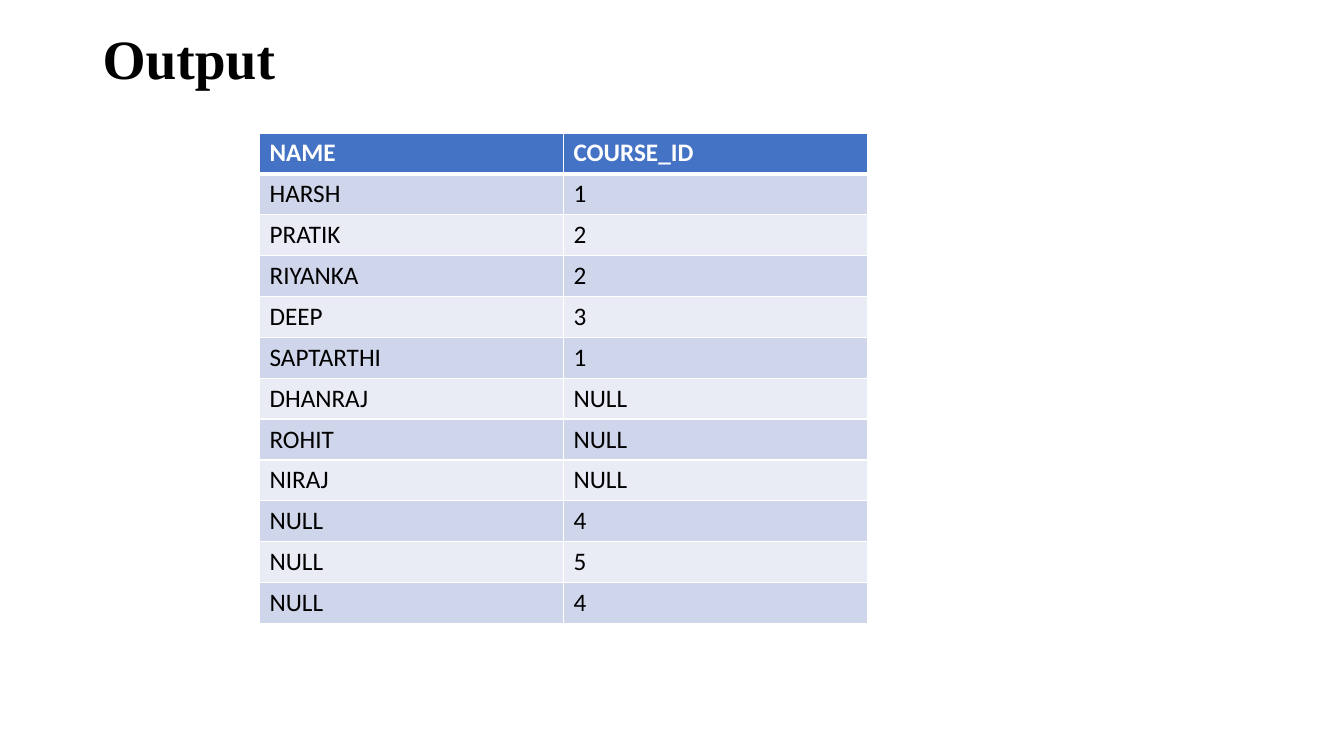
from dataclasses import dataclass

from lxml.etree import SubElement
from pptx import Presentation
from pptx.dml.color import RGBColor
from pptx.enum.text import MSO_ANCHOR, MSO_AUTO_SIZE, PP_ALIGN
from pptx.oxml.ns import qn
from pptx.util import Cm, Pt


@dataclass(frozen=True)
class Theme:
    title_font: str = "Times New Roman"
    body_font: str = "Calibri"
    title_size: float = 39.6
    body_size: float = 18
    text: str = "000000"
    header_text: str = "FFFFFF"
    header_fill: str = "4472C4"
    band_fills: tuple = ("CFD5EA", "E9EBF5")
    border: str = "FFFFFF"
    border_width: float = 1
    header_rule_width: float = 3


HEADER = ("NAME", "COURSE_ID")
STUDENT_COURSES = [
    ("HARSH", "1"),
    ("PRATIK", "2"),
    ("RIYANKA", "2"),
    ("DEEP", "3"),
    ("SAPTARTHI", "1"),
    ("DHANRAJ", "NULL"),
    ("ROHIT", "NULL"),
    ("NIRAJ", "NULL"),
    ("NULL", "4"),
    ("NULL", "5"),
    ("NULL", "4"),
]


def apply_format(target, values):
    for name, value in values.items():
        setattr(target, name, value)


class SlideBuilder:
    def __init__(self, presentation, theme):
        self.theme = theme
        # Title-only layout
        self.slide = presentation.slides.add_slide(presentation.slide_layouts[5])

    def style_font(self, font, name, size, color, bold):
        apply_format(font, {"name": name, "size": Pt(size), "bold": bold})
        font.color.rgb = RGBColor.from_string(color)

    def add_title(self, text, left, top, width, height):
        title = self.slide.shapes.title
        apply_format(title, {"left": Cm(left), "top": Cm(top),
                             "width": Cm(width), "height": Cm(height)})
        apply_format(title.text_frame, {"text": text, "word_wrap": True,
                                        "auto_size": MSO_AUTO_SIZE.NONE,
                                        "vertical_anchor": MSO_ANCHOR.MIDDLE})
        paragraph = title.text_frame.paragraphs[0]
        apply_format(paragraph, {"alignment": PP_ALIGN.LEFT, "line_spacing": 0.9})
        self.style_font(paragraph.runs[0].font, self.theme.title_font,
                        self.theme.title_size, self.theme.text, True)

    def add_borders(self, cell, top_width, bottom_width):
        side_width = self.theme.border_width
        widths = {"a:lnL": side_width, "a:lnR": side_width,
                  "a:lnT": top_width, "a:lnB": bottom_width}
        properties = cell._tc.get_or_add_tcPr()
        for tag, width in widths.items():
            line = SubElement(properties, qn(tag), w=str(Pt(width)))
            fill = SubElement(line, qn("a:solidFill"))
            SubElement(fill, qn("a:srgbClr"), val=self.theme.border)

    def fill_cell(self, cell, text, row_index):
        theme = self.theme
        is_header = row_index == 0
        # Borders come before the fill in the cell properties
        thin, thick = theme.border_width, theme.header_rule_width
        self.add_borders(cell, thick if row_index == 1 else thin,
                         thick if is_header else thin)
        cell.fill.solid()
        band = theme.band_fills[(row_index - 1) % len(theme.band_fills)]
        cell.fill.fore_color.rgb = RGBColor.from_string(
            theme.header_fill if is_header else band)
        cell.text = text
        self.style_font(cell.text_frame.paragraphs[0].runs[0].font,
                        theme.body_font, theme.body_size,
                        theme.header_text if is_header else theme.text, is_header)

    def add_table(self, rows, left, top, column_width, row_height):
        column_count = len(rows[0])
        table = self.slide.shapes.add_table(
            len(rows), column_count, Cm(left), Cm(top),
            Cm(column_width * column_count), Cm(row_height * len(rows))).table
        for column in table.columns:
            column.width = Cm(column_width)
        for row_index, values in enumerate(rows):
            table.rows[row_index].height = Cm(row_height)
            for column_index, text in enumerate(values):
                self.fill_cell(table.cell(row_index, column_index), text, row_index)


def main():
    presentation = Presentation()
    apply_format(presentation, {"slide_width": Cm(33.87), "slide_height": Cm(19.05)})
    builder = SlideBuilder(presentation, Theme())

    # Title
    builder.add_title("Output", left=2.33, top=1.01, width=29.21, height=1.1)

    # Query result
    builder.add_table([HEADER, *STUDENT_COURSES], left=6.54, top=3.35,
                      column_width=7.66, row_height=1.03)

    presentation.save("out.pptx")


if __name__ == "__main__":
    main()
